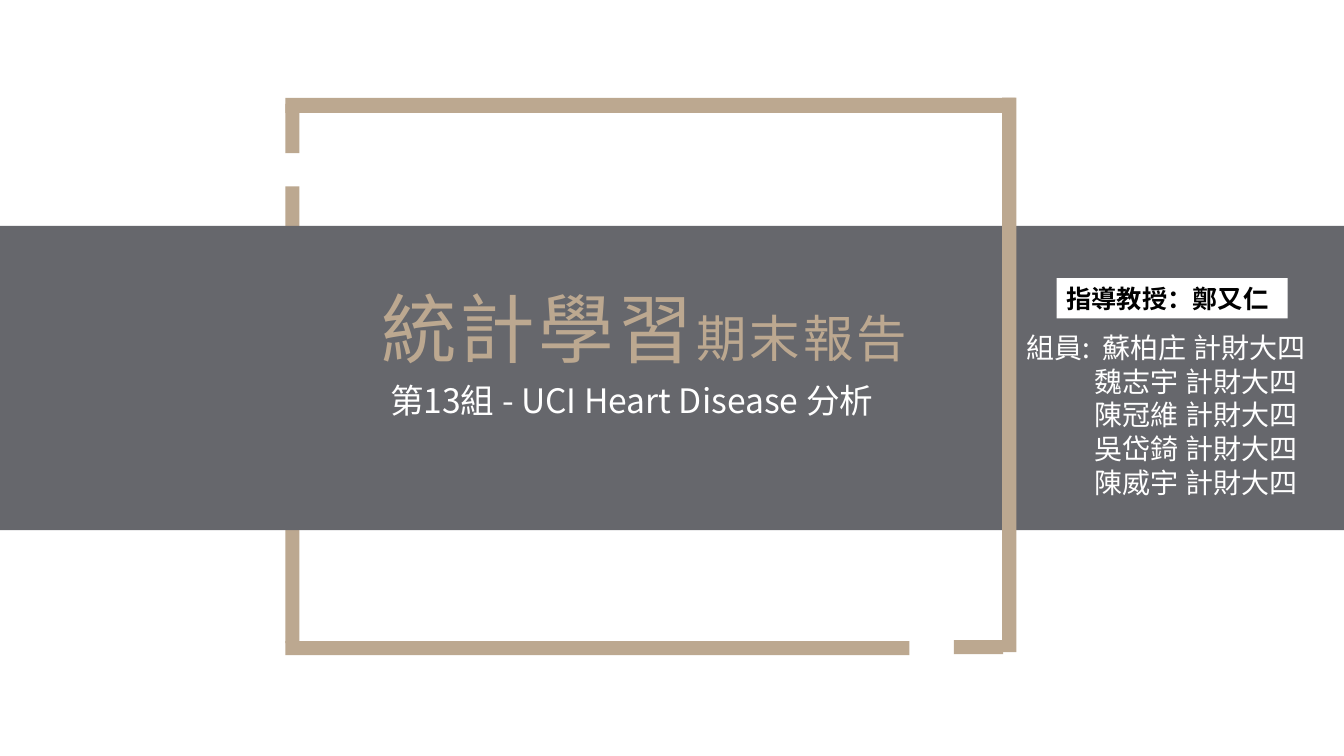
from pptx import Presentation
from pptx import util as u
from pptx.dml.color import RGBColor
from pptx.enum import shapes, text
from pptx.oxml.ns import qn

FONT = "Noto Sans CJK SC"
TAN, GREY, WHITE, BLACK = "BCA890", "66676C", "FFFFFF", "000000"
LEFT, CENTER, JUSTIFY = text.PP_ALIGN.LEFT, text.PP_ALIGN.CENTER, text.PP_ALIGN.JUSTIFY


def add_rectangle(left, top, width, height, color):
    shape = slide.shapes.add_shape(
        shapes.MSO_SHAPE.RECTANGLE, *map(u.Inches, (left, top, width, height)))
    shape.shadow.inherit = False
    shape.fill.solid()
    shape.fill.fore_color.rgb = RGBColor.from_string(color)
    shape.line.fill.background()
    return shape


def write_line(paragraph, runs, color, alignment=LEFT, bold=False, spacing=0):
    """Fill a paragraph with (words, size) runs; spacing is in hundredths of a point."""
    paragraph.alignment = alignment
    for words, size in runs:
        run = paragraph.add_run()
        run.text = words
        for name, value in {"name": FONT, "size": u.Pt(size), "bold": bold}.items():
            setattr(run.font, name, value)
        run.font.color.rgb = RGBColor.from_string(color)
        properties = run.font._element
        properties.set("spc", str(spacing))
        east_asian = properties.makeelement(qn("a:ea"), {"typeface": FONT})
        properties.find(qn("a:latin")).addnext(east_asian)


presentation = Presentation()
presentation.slide_width = u.Inches(13.33)
presentation.slide_height = u.Inches(7.5)
slide = presentation.slides.add_slide(presentation.slide_layouts[5])

# The band covers the lower-left half of the frame and lies under the rest.
bars = [
    (2.83, 1.85, 0.14, 4.53, TAN),
    (2.83, 6.36, 6.19, 0.14, TAN),
    (0, 2.24, 13.33, 3.02, GREY),
    (9.94, 0.97, 0.14, 5.5, TAN),
    (2.83, 0.97, 7.24, 0.15, TAN),
    (2.83, 1.03, 0.14, 0.49, TAN),
    (9.46, 6.35, 0.49, 0.14, TAN),
]
for bar in bars:
    add_rectangle(*bar)

# Title, brought in front of the band
title = slide.shapes.title
title_place = {"left": 2.83, "top": 2.76, "width": 7.12, "height": 0.98}
for name, value in title_place.items():
    setattr(title, name, u.Inches(value))
title.element.getparent().append(title.element)
title_format = {
    "margin_left": u.Inches(0.07), "margin_right": u.Inches(0.07),
    "margin_top": u.Inches(0.04), "margin_bottom": u.Inches(0.04),
    "vertical_anchor": text.MSO_ANCHOR.TOP, "word_wrap": True,
    "auto_size": text.MSO_AUTO_SIZE.SHAPE_TO_FIT_TEXT,
}
for name, value in title_format.items():
    setattr(title.text_frame, name, value)
write_line(title.text_frame.paragraphs[0], [("統計學習", 54), ("期末報告", 36)],
           TAN, CENTER, spacing=220)

# Group members: names line up after the label
members = slide.shapes.add_textbox(*map(u.Inches, (10.08, 3.23, 3.11, 1.78))).text_frame
members.word_wrap = True
lines = ["組員:  蘇柏庄 計財大四", "魏志宇 計財大四", "陳冠維 計財大四",
         "吳岱錡 計財大四", "陳威宇 計財大四"]
for index, line in enumerate(lines):
    paragraph = members.add_paragraph() if index else members.paragraphs[0]
    write_line(paragraph, [(line, 20)], WHITE)
    if index:
        paragraph._p.get_or_add_pPr().set("marL", str(u.Inches(0.68)))

# Subtitle
subtitle = slide.shapes.add_textbox(*map(u.Inches, (3.77, 3.72, 5.35, 0.5))).text_frame
subtitle.word_wrap = True
write_line(subtitle.paragraphs[0], [("第13組 - UCI Heart Disease 分析", 24)], WHITE, JUSTIFY)

# Advisor label
advisor = add_rectangle(10.48, 2.76, 2.29, 0.4, WHITE).text_frame
advisor.word_wrap = True
write_line(advisor.paragraphs[0], [("指導教授：鄭又仁", 18)], BLACK, bold=True)

presentation.save("out.pptx")
